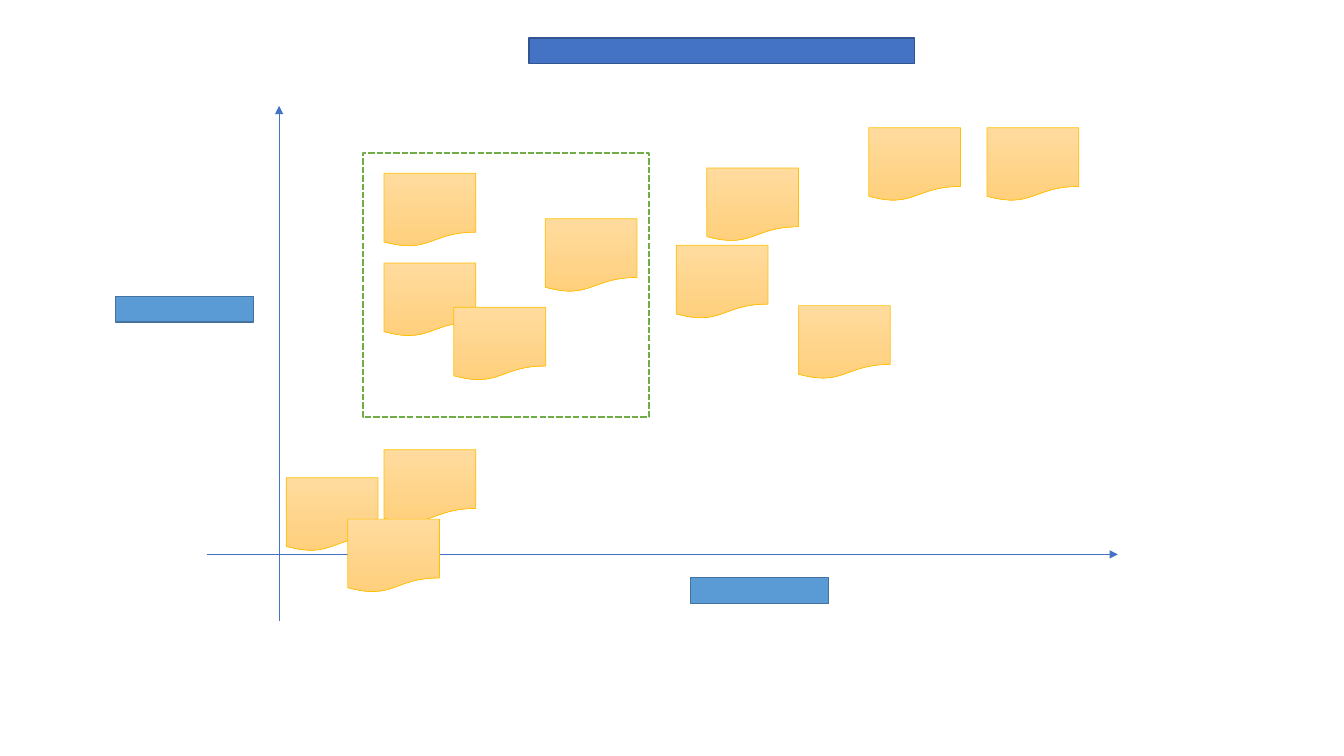
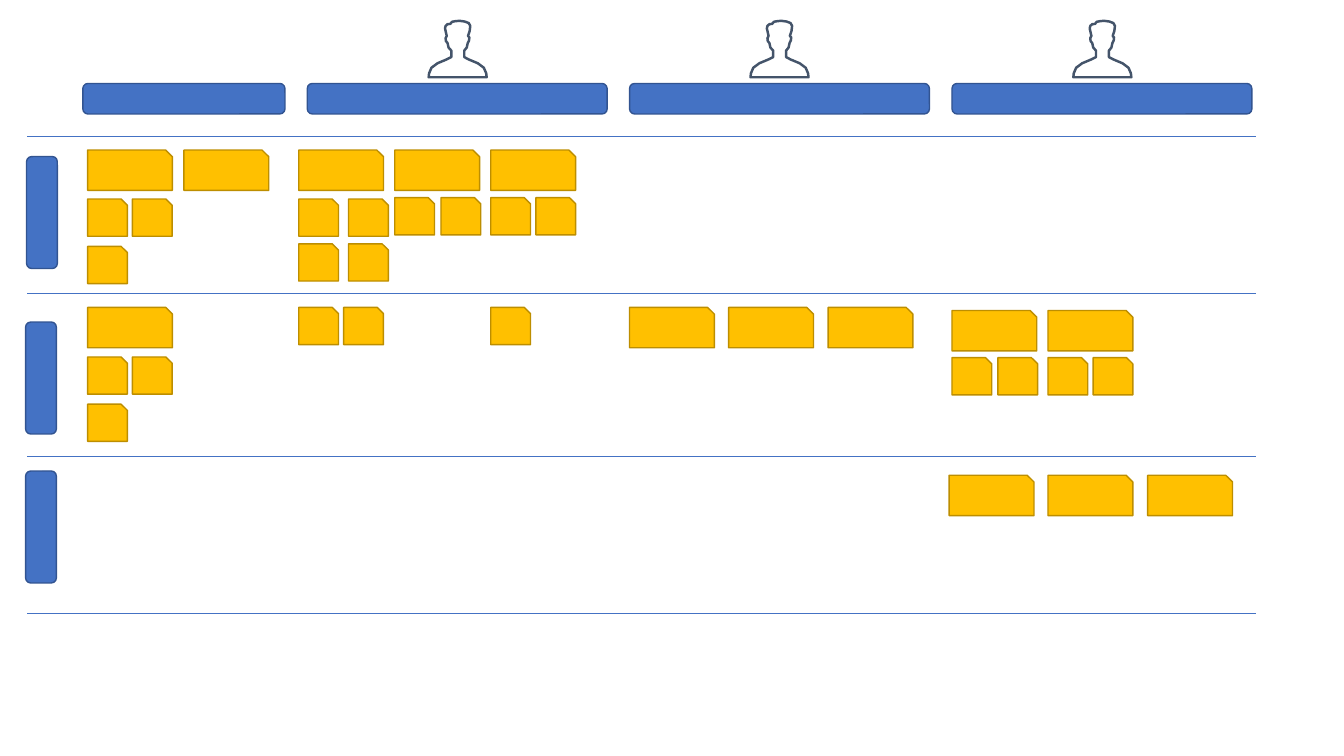
from dataclasses import dataclass

from lxml.etree import SubElement
from pptx import Presentation
from pptx.dml.color import RGBColor
from pptx.enum.dml import MSO_LINE
from pptx.enum.shapes import MSO_CONNECTOR, MSO_SHAPE
from pptx.oxml.ns import qn
from pptx.util import Pt

BLUE = RGBColor(0x44, 0x72, 0xC4)
BLUE_EDGE = RGBColor(0x32, 0x54, 0x91)
SKY = RGBColor(0x5B, 0x9B, 0xD5)
SKY_EDGE = RGBColor(0x43, 0x73, 0x9E)
NOTE_TOP = RGBColor(0xFF, 0xDB, 0x9E)
NOTE_BOTTOM = RGBColor(0xFF, 0xD0, 0x7C)
GOLD = RGBColor(0xFF, 0xC0, 0x00)
GOLD_EDGE = RGBColor(0xBD, 0x8E, 0x00)
GREEN = RGBColor(0x70, 0xAD, 0x47)
SLATE = RGBColor(0x44, 0x54, 0x6A)


@dataclass(frozen=True)
class Style:
    preset: MSO_SHAPE
    fill: RGBColor | None
    edge: RGBColor
    edge_width: float = 1
    fill_end: RGBColor | None = None
    dash: MSO_LINE | None = None


@dataclass(frozen=True)
class Size:
    width: float
    height: float


@dataclass(frozen=True)
class CardRow:
    top: float
    size: Size
    lefts: tuple[float, ...]


TITLE_BAR = Style(MSO_SHAPE.RECTANGLE, BLUE, BLUE_EDGE)
AXIS_LABEL = Style(MSO_SHAPE.RECTANGLE, SKY, SKY_EDGE)
NOTE = Style(MSO_SHAPE.FLOWCHART_DOCUMENT, NOTE_TOP, GOLD, 0.5, NOTE_BOTTOM)
FOCUS_AREA = Style(MSO_SHAPE.RECTANGLE, None, GREEN, 1.5, dash=MSO_LINE.SQUARE_DOT)
HEADER = Style(MSO_SHAPE.ROUNDED_RECTANGLE, BLUE, BLUE_EDGE)
CARD = Style(MSO_SHAPE.SNIP_1_RECTANGLE, GOLD, GOLD_EDGE)

LABEL_SIZE = Size(98.8, 18.3)
NOTE_SIZE = Size(65.6, 52.4)
LANE_SIZE = Size(80, 22)
WIDE = Size(60.6, 28.8)
SMALL = Size(28.4, 26.6)

NOTES = (
    (274.3, 187.9), (483, 175.2), (705, 91.2), (274.3, 321.2),
    (204.5, 341.3), (248.4, 370.8), (324.2, 219.4), (570.3, 218.3),
    (389.5, 156.2), (620.5, 91.2), (274.3, 123.8), (504.8, 120),
)

HEADERS = ((59.2, 144.4), (219.5, 214.2), (449.7, 214.2), (680, 214.2))
PERSON_LEFTS = (305.3, 535.2, 765.8)
PERSON_TOP = 14.2
LANES = ((-10, 140.8), (-10.7, 259), (-10.7, 365.4))
DIVIDERS = (97.2, 209.5, 326, 438.2)

CARD_ROWS = (
    CardRow(107.2, WIDE, (62.6, 131.4, 213.4, 282, 350.6)),
    CardRow(142.2, SMALL, (62.6, 94.6, 213.4, 249)),
    CardRow(141.2, SMALL, (282, 315, 350.6, 382.8)),
    CardRow(176, SMALL, (62.6,)),
    CardRow(174.2, SMALL, (213.4, 249)),
    CardRow(219.6, WIDE, (62.6, 449.7, 520.5, 591.5)),
    CardRow(219.6, SMALL, (213.4, 245.5, 350.6)),
    CardRow(221.8, WIDE, (680, 748.6)),
    CardRow(255, SMALL, (62.6, 94.6)),
    CardRow(255.5, SMALL, (680, 712.8, 748.6, 780.8)),
    CardRow(288.7, SMALL, (62.6,)),
    CardRow(339.5, WIDE, (678, 748.6, 819.8)),
)

PERSON_OUTLINE = (
    (9, 410), (12, 382), (29, 342), (72, 310), (137, 283), (171, 266),
    (171, 220), (151, 198), (144, 166), (132, 151), (130, 130), (138, 115),
    (126, 61), (130, 43), (144, 31), (164, 29), (176, 14), (202, 9),
    (230, 7), (266, 12), (295, 23), (306, 43), (302, 79), (290, 115),
    (300, 126), (297, 148), (288, 166), (281, 198), (263, 220), (263, 266),
    (295, 283), (360, 310), (403, 342), (420, 382), (423, 410),
)


def add_box(slide, style: Style, left: float, top: float, size: Size, rotation: float = 0):
    shape = slide.shapes.add_shape(
        style.preset, Pt(left), Pt(top), Pt(size.width), Pt(size.height)
    )
    shape.shadow.inherit = False
    shape.rotation = rotation
    if style.fill is None:
        shape.fill.background()
    elif style.fill_end is None:
        shape.fill.solid()
        shape.fill.fore_color.rgb = style.fill
    else:
        shape.fill.gradient()
        shape.fill.gradient_angle = 270
        for stop, color in zip(shape.fill.gradient_stops, (style.fill, style.fill_end)):
            stop.color.rgb = color
    shape.line.color.rgb = style.edge
    shape.line.width = Pt(style.edge_width)
    if style.dash is not None:
        shape.line.dash_style = style.dash
    return shape


def add_line(slide, start: tuple[float, float], end: tuple[float, float], arrow: bool = False):
    connector = slide.shapes.add_connector(
        MSO_CONNECTOR.STRAIGHT, Pt(start[0]), Pt(start[1]), Pt(end[0]), Pt(end[1])
    )
    connector.line.color.rgb = BLUE
    connector.line.width = Pt(0.5)
    if arrow:
        SubElement(connector.line._get_or_add_ln(), qn("a:tailEnd"), type="triangle")
    SubElement(connector._element.spPr, qn("a:effectLst"))
    return connector


def add_person(slide, left: float, top: float):
    builder = slide.shapes.build_freeform(*PERSON_OUTLINE[0], scale=Pt(0.1))
    builder.add_line_segments(PERSON_OUTLINE[1:], close=True)
    shape = builder.convert_to_shape(Pt(left), Pt(top))
    shape.shadow.inherit = False
    shape.fill.background()
    shape.line.color.rgb = SLATE
    shape.line.width = Pt(1.75)
    return shape


def build_priority_map(slide) -> None:
    add_line(slide, (147.6, 396), (798.5, 396), arrow=True)
    add_line(slide, (199.4, 443.5), (199.4, 75.6), arrow=True)
    add_box(slide, AXIS_LABEL, 493.2, 412.6, LABEL_SIZE)
    add_box(slide, AXIS_LABEL, 82.5, 211.7, LABEL_SIZE)
    add_box(slide, TITLE_BAR, 377.8, 27.2, Size(275.4, 18.3))
    for left, top in NOTES:
        add_box(slide, NOTE, left, top, NOTE_SIZE)
    add_box(slide, FOCUS_AREA, 259.2, 109.5, Size(204.5, 188.4))


def build_story_board(slide) -> None:
    for left, width in HEADERS:
        add_box(slide, HEADER, left, 59.6, Size(width, 21.8))
    for left, top in LANES:
        add_box(slide, HEADER, left, top, LANE_SIZE, rotation=270)
    for top in DIVIDERS:
        add_line(slide, (19.4, top), (897.5, top))
    for row in CARD_ROWS:
        for left in row.lefts:
            add_box(slide, CARD, left, row.top, row.size)
    for left in PERSON_LEFTS:
        add_person(slide, left, PERSON_TOP)


def main() -> None:
    presentation = Presentation()
    presentation.slide_width = Pt(960)
    presentation.slide_height = Pt(540)
    blank_layout = presentation.slide_layouts[6]
    for build in (build_priority_map, build_story_board):
        build(presentation.slides.add_slide(blank_layout))
    presentation.save("out.pptx")


if __name__ == "__main__":
    main()
